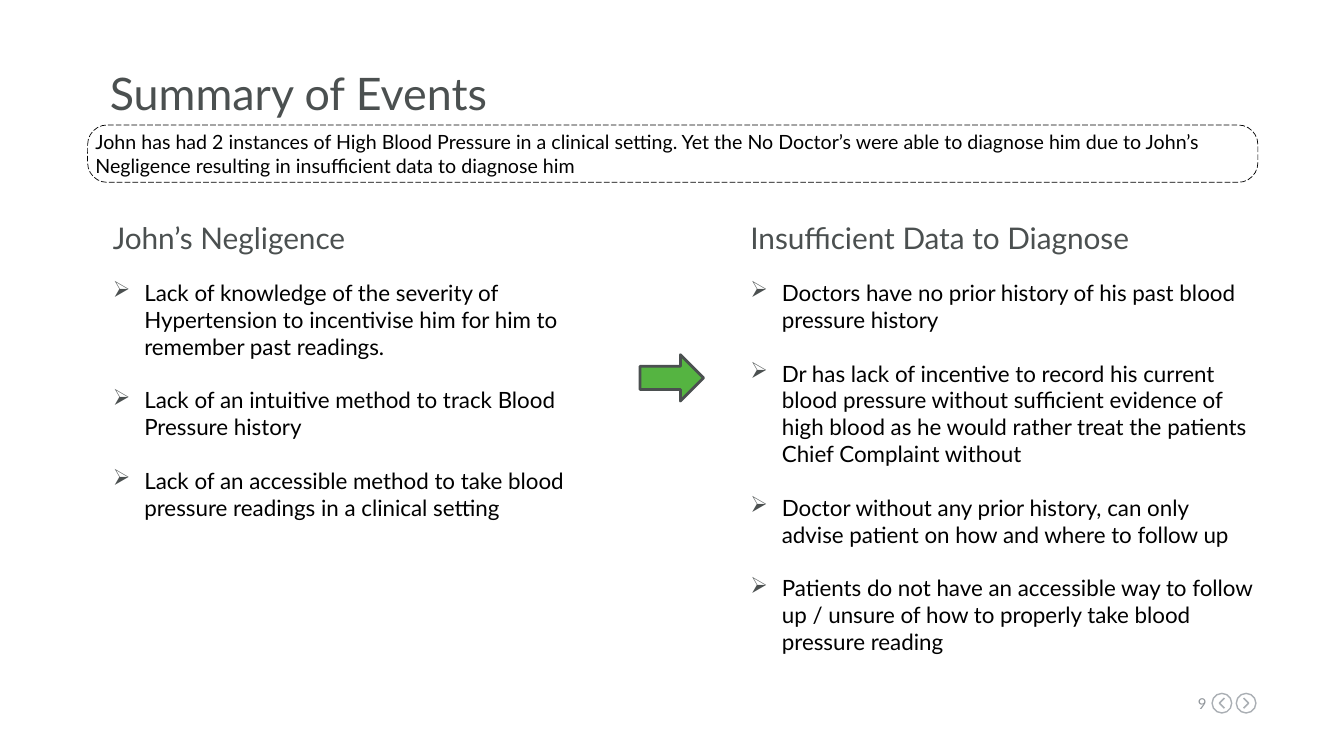
from dataclasses import dataclass

from lxml.etree import SubElement
from pptx import Presentation
from pptx.dml.color import RGBColor
from pptx.enum.dml import MSO_LINE
from pptx.enum.shapes import MSO_SHAPE
from pptx.enum.text import MSO_ANCHOR, MSO_AUTO_SIZE, PP_ALIGN
from pptx.oxml.ns import qn
from pptx.util import Pt


@dataclass(frozen=True)
class Theme:
    font: str = "Lato"
    slate: str = "4B5050"
    black: str = "000000"
    white: str = "FFFFFF"
    green: str = "55B441"
    number_grey: str = "91969B"
    button_grey: str = "AAAFB4"
    title: float = 32
    heading: float = 21.3
    body: float = 16
    banner: float = 14
    number: float = 10.7


class SlideBuilder:
    def __init__(self, slide, theme):
        self.slide = slide
        self.theme = theme

    def set_text(self, shape, lines, size, color, anchor=MSO_ANCHOR.TOP,
                 align=PP_ALIGN.LEFT, margins=(0, 0, 0, 0)):
        frame = shape.text_frame
        frame.auto_size = MSO_AUTO_SIZE.NONE
        frame.word_wrap = True
        frame.vertical_anchor = anchor
        frame.margin_left, frame.margin_top, frame.margin_right, frame.margin_bottom = map(Pt, margins)
        frame.text = "\n".join(lines)
        for paragraph in frame.paragraphs:
            paragraph.alignment = align
            paragraph.font.name = self.theme.font
            paragraph.font.size = Pt(size)
            paragraph.font.color.rgb = RGBColor.from_string(color)
        return frame.paragraphs

    def title(self, words, box):
        heading = self.slide.shapes.title
        heading.left, heading.top, heading.width, heading.height = map(Pt, box)
        self.set_text(heading, [words], self.theme.title, self.theme.slate,
                      MSO_ANCHOR.BOTTOM, margins=(18, 0, 0, 0))

    def text(self, lines, box, size, color, **layout):
        return self.set_text(self.slide.shapes.add_textbox(*map(Pt, box)), lines, size, color, **layout)

    def column(self, left, heading, points):
        title, = self.text([heading], (left, 130.3, 379, 56.2), self.theme.heading,
                           self.theme.slate, anchor=MSO_ANCHOR.BOTTOM, margins=(18, 3.6, 0, 3.6))
        title.line_spacing = 0.9
        for point in self.text(points, (left, 195.8, 379, 259.2), self.theme.body,
                               self.theme.black, margins=(0, 3.6, 0, 3.6)):
            point.space_after = Pt(19.2)
            self.bullet(point)

    def bullet(self, paragraph):
        properties = paragraph._p.get_or_add_pPr()
        properties.set("marL", str(Pt(40.5)))
        properties.set("indent", str(Pt(-22.5)))
        color = SubElement(properties, qn("a:buClr"))
        SubElement(color, qn("a:srgbClr"), val=self.theme.slate)
        SubElement(properties, qn("a:buChar"), char="➢")
        properties.append(properties.find(qn("a:defRPr")))

    def paint(self, shape, fill, line, width):
        shape.shadow.inherit = False
        if fill:
            shape.fill.solid()
            shape.fill.fore_color.rgb = RGBColor.from_string(fill)
        else:
            shape.fill.background()
        shape.line.color.rgb = RGBColor.from_string(line)
        shape.line.width = Pt(width)
        return shape

    def shape(self, kind, box, fill, line, width):
        return self.paint(self.slide.shapes.add_shape(kind, *map(Pt, box)), fill, line, width)

    def banner(self, lines, box):
        panel = self.shape(MSO_SHAPE.ROUNDED_RECTANGLE, box, self.theme.white, self.theme.black, 0.5)
        panel.adjustments[0] = 0.343
        panel.line.dash_style = MSO_LINE.LONG_DASH
        self.set_text(panel, lines, self.theme.banner, self.theme.black,
                      MSO_ANCHOR.MIDDLE, margins=(1.4, 0, 0, 0))

    def page_button(self, x, y, direction):
        radius, reach = 7, 3.6
        self.shape(MSO_SHAPE.OVAL, (x - radius, y - radius, 2 * radius, 2 * radius),
                   None, self.theme.button_grey, 1)
        tip, tail = x + direction * reach / 2, x - direction * reach / 2
        outline = self.slide.shapes.build_freeform(Pt(tail), Pt(y - reach))
        outline.add_line_segments([(Pt(tip), Pt(y)), (Pt(tail), Pt(y + reach))], close=False)
        self.paint(outline.convert_to_shape(), None, self.theme.button_grey, 1.2)


def main():
    deck = Presentation()
    deck.slide_width, deck.slide_height = Pt(960), Pt(540)
    theme = Theme()
    page = SlideBuilder(deck.slides.add_slide(deck.slide_layouts[5]), theme)

    page.title("Summary of Events", (60.5, 36, 835.2, 49))
    page.banner([
        "John has had 2 instances of High Blood Pressure in a clinical setting. "
        "Yet the No Doctor’s were able to diagnose him due to John’s",
        "Negligence resulting in insufficient data to diagnose him",
    ], (62.6, 89.3, 835.9, 41))
    page.column(62.6, "John’s Negligence", [
        "Lack of knowledge of the severity of Hypertension to incentivise him "
        "for him to remember past readings.",
        "Lack of an intuitive method to track Blood Pressure history",
        "Lack of an accessible method to take blood pressure readings in a clinical setting",
    ])
    page.column(518, "Insufficient Data to Diagnose", [
        "Doctors have no prior history of his past blood pressure history",
        "Dr has lack of incentive to record his current blood pressure without sufficient "
        "evidence of high blood as he would rather treat the patients Chief Complaint without",
        "Doctor without any prior history, can only advise patient on how and where to follow up",
        "Patients do not have an accessible way to follow up / unsure of how to properly "
        "take blood pressure reading",
    ])
    page.shape(MSO_SHAPE.RIGHT_ARROW, (457.2, 253.4, 45.4, 33.1), theme.green, theme.slate, 2)
    page.text(["9"], (833.8, 496.1, 28, 13), theme.number, theme.number_grey, align=PP_ALIGN.RIGHT)
    for x, direction in ((872.8, -1), (890.1, 1)):
        page.page_button(x, 502.3, direction)

    deck.save("out.pptx")


if __name__ == "__main__":
    main()
